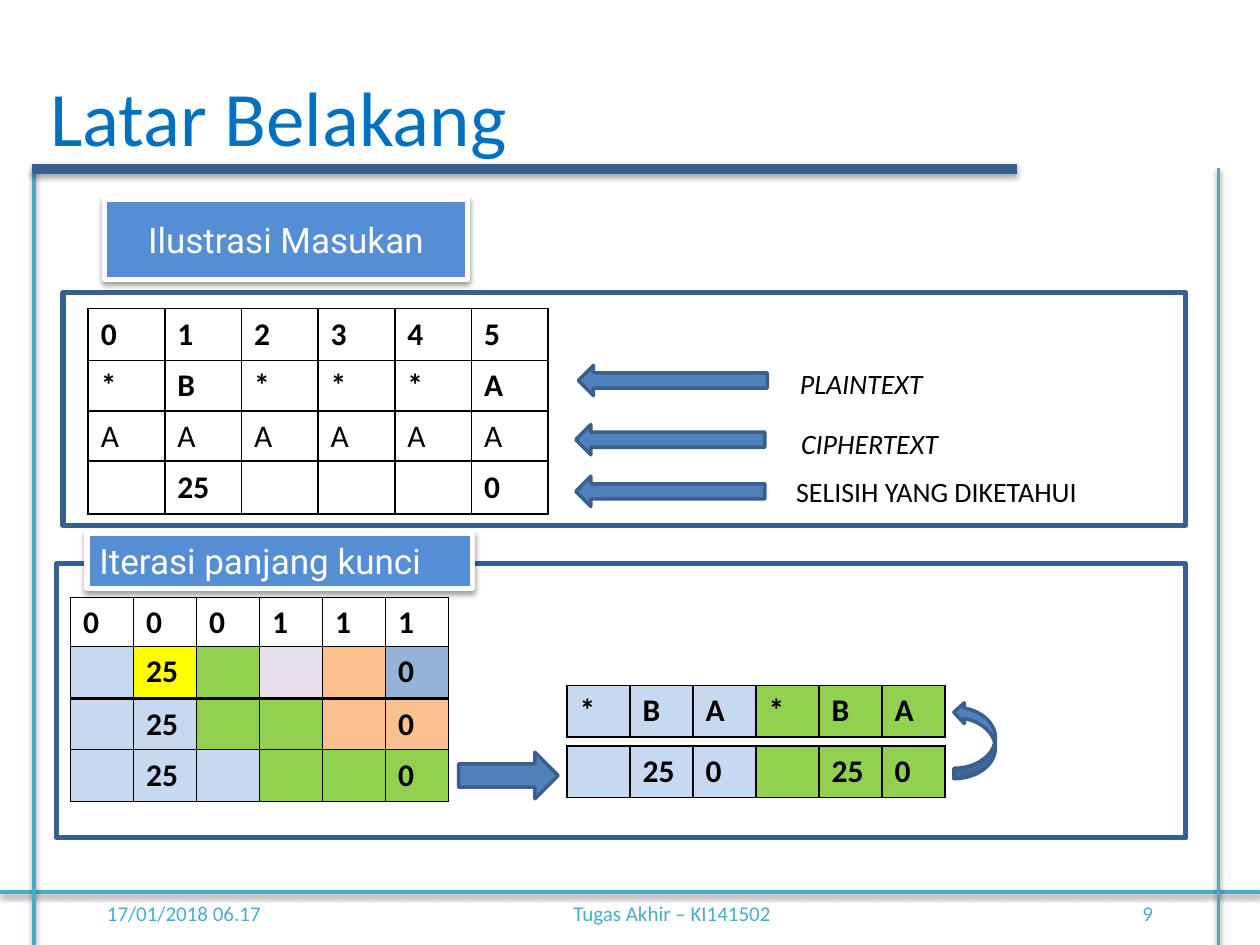
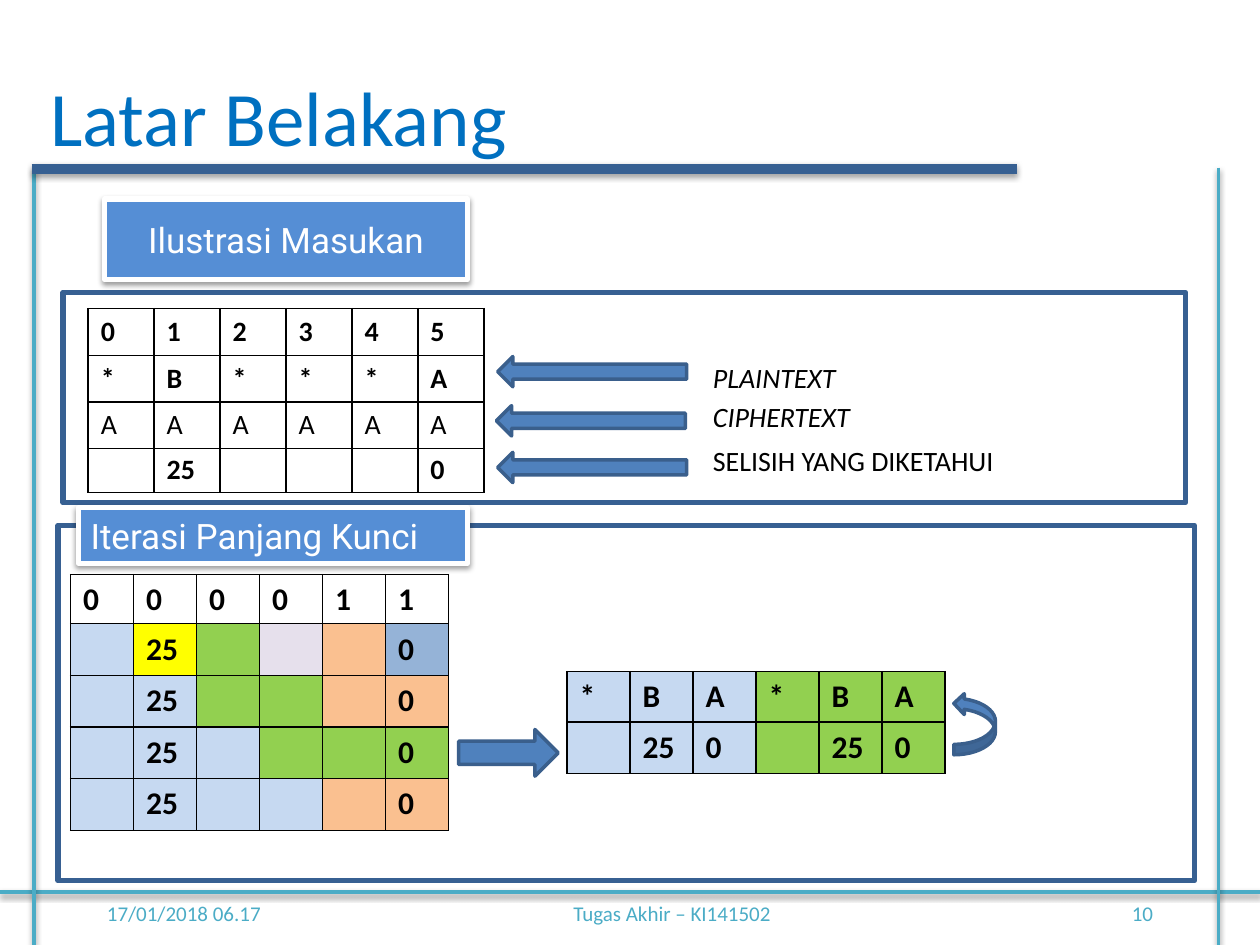
from pptx import Presentation
from pptx import util as u
from pptx.dml.color import RGBColor
from pptx.enum import shapes, text
from pptx.oxml import parse_xml
from pptx.oxml.ns import nsdecls

color = RGBColor.from_string
TEAL, NAVY, BLUE, HEADING = "4BACC6", "376092", "4F81BD", "558ED5"
TITLE, EDGE, WHITE, BLACK = "0070C0", "3A5F8C", "FFFFFF", "000000"
CELL_FILLS = {"B": "C6D9F1", "G": "92D050", "Y": "FFFF00",
              "P": "E6E0EC", "O": "FAC090", "S": "95B3D7"}
TITLE_TEXT = "Latar Belakang"
LEFT, CENTER, RIGHT = text.PP_ALIGN.LEFT, text.PP_ALIGN.CENTER, text.PP_ALIGN.RIGHT
TOP, MIDDLE = text.MSO_ANCHOR.TOP, text.MSO_ANCHOR.MIDDLE
KIND = shapes.MSO_SHAPE

# Table rows: cells separated by "|", with one fill letter per cell
INDEX_ROW = "0|1|2|3|4|5"
PLAIN_ROW = "*|B|*|*|*|A"
CIPHER_ROW = "A|A|A|A|A|A"
KNOWN_ROW = "|25||||0"
ITERATION_FILLS = ["", "BYGPOS", "BBGGOO", "BBBGGG", "BBBBOO"]

SLIDES = [
    dict(number="9", input_frame=(0.5, 2.32, 8.91, 1.85),
         input_width=3.65, input_size=18, input_tops=(2.45, 2.86, 3.67), input_row=0.41,
         arrows=[(4.59, 2.9), (4.57, 3.37), (4.57, 3.78)],
         labels=[(6.25, 2.86), (6.26, 3.34), (6.22, 3.72)],
         key_frame=(0.45, 4.47, 8.96, 2.18),
         key_heading="Iterasi panjang kunci", key_box=(0.69, 4.23, 3.06, 0.44),
         key_header="0|0|0|1|1|1", key_tops=(4.74, 5.13, 5.55, 5.95),
         right_arrow_top=5.97, pair_tops=(5.44, 5.92), curve=(5.57, 0.61)),
    dict(number="10", input_frame=(0.5, 2.32, 8.91, 1.67),
         input_width=3.14, input_size=16, input_tops=(2.45, 2.82, 3.54), input_row=0.37,
         arrows=[(3.95, 2.83), (3.94, 3.22), (3.95, 3.59)],
         labels=[(5.56, 2.81), (5.56, 3.12), (5.56, 3.47)],
         key_frame=(0.46, 4.17, 9.02, 2.82),
         key_heading="Iterasi Panjang Kunci", key_box=(0.62, 4.03, 3.09, 0.44),
         key_header="0|0|0|0|1|1", key_tops=(4.56, 4.95, 5.36, 5.77, 6.18),
         right_arrow_top=5.79, pair_tops=(5.33, 5.73), curve=(5.5, 0.49)),
]


def add_shadow(shape, opacity):
    """Give a shape or connector a soft shadow straight below it."""
    shape.element.spPr.append(parse_xml(
        f'<a:effectLst {nsdecls("a")}><a:outerShdw blurRad="40000" dist="20000" '
        f'dir="5400000" rotWithShape="0"><a:srgbClr val="{BLACK}">'
        f'<a:alpha val="{opacity * 1000}"/></a:srgbClr></a:outerShdw></a:effectLst>'))


def add_table(slide, left, top, width, row_height, rows, fills="", size=18, sides="LRTB"):
    """Add a grid of equal cells, with black borders on the given sides."""
    cells = [row.split("|") for row in rows]
    table = slide.shapes.add_table(
        len(cells), len(cells[0]), u.Inches(left), u.Inches(top),
        u.Inches(width), u.Inches(row_height * len(cells))).table
    table.first_row = table.horz_banding = False
    for r, row in enumerate(cells):
        for c, value in enumerate(row):
            cell = table.cell(r, c)
            cell.text = value
            font = cell.text_frame.paragraphs[0].font
            font.name, font.size = "Calibri", u.Pt(size)
            font.bold = rows[r] != CIPHER_ROW
            font.color.rgb = color(BLACK)
            properties = cell._tc.get_or_add_tcPr()
            for side in "LRTB":
                paint = (f'<a:solidFill><a:srgbClr val="{BLACK}"/></a:solidFill>'
                         if side in sides else "<a:noFill/>")
                properties.append(parse_xml(
                    f'<a:ln{side} {nsdecls("a")} w="12700">{paint}</a:ln{side}>'))
            if fills:
                cell.fill.solid()
                cell.fill.fore_color.rgb = color(CELL_FILLS[fills[c]])
            else:
                cell.fill.background()


presentation = Presentation()
presentation.slide_width, presentation.slide_height = u.Inches(10), u.Inches(7.5)

for content in SLIDES:
    slide = presentation.slides.add_slide(presentation.slide_layouts[6])

    # Ruled lines
    for x1, y1, x2, y2, line_color, weight, opacity in [
            (0, 7.08, 10, 7.08, TEAL, 2, 38),
            (0.27, 1.33, 0.27, 7.5, TEAL, 2, 38),
            (9.67, 1.33, 9.67, 7.5, TEAL, 2, 38),
            (0.25, 1.34, 8.07, 1.34, NAVY, 6, 35)]:
        rule = slide.shapes.add_connector(
            shapes.MSO_CONNECTOR.STRAIGHT, *map(u.Inches, (x1, y1, x2, y2)))
        rule.line.color.rgb = color(line_color)
        rule.line.width = u.Pt(weight)
        add_shadow(rule, opacity)

    # Title, footer and row labels
    texts = [
        (TITLE_TEXT, (0.3, 0.5, 3.86, 0.84), 44, TITLE, LEFT, TOP),
        ("17/01/2018 06.17", (0.75, 7, 2.08, 0.5), 12, TEAL, LEFT, MIDDLE),
        ("Tugas Akhir – KI141502", (3.75, 7, 3.17, 0.5), 12, TEAL, CENTER, MIDDLE),
        (content["number"], (7.17, 7, 2.08, 0.5), 12, TEAL, RIGHT, MIDDLE)]
    for label, place in zip(["PLAINTEXT", "CIPHERTEXT", "SELISIH YANG DIKETAHUI"],
                            content["labels"]):
        texts.append((label, (*place, 2.92, 0.37), 16, BLACK, LEFT, TOP))
    for wording, box, size, text_color, align, anchor in texts:
        frame = slide.shapes.add_textbox(*map(u.Inches, box)).text_frame
        frame.word_wrap = wording != TITLE_TEXT
        frame.vertical_anchor = anchor
        paragraph = frame.paragraphs[0]
        paragraph.text, paragraph.alignment = wording, align
        paragraph.font.name, paragraph.font.size = "Calibri", u.Pt(size)
        paragraph.font.italic = wording in ("PLAINTEXT", "CIPHERTEXT")
        paragraph.font.color.rgb = color(text_color)

    # Frames and arrows
    curve_top, curve_height = content["curve"]
    blocks = [
        (KIND.RECTANGLE, content["input_frame"], None, NAVY, 3),
        (KIND.RECTANGLE, content["key_frame"], None, NAVY, 3),
        (KIND.RIGHT_ARROW, (3.64, content["right_arrow_top"], 0.79, 0.37), BLUE, EDGE, 2),
        (KIND.CURVED_RIGHT_ARROW, (7.57, curve_top, 0.33, curve_height), BLUE, EDGE, 2)]
    for place in content["arrows"]:
        blocks.append((KIND.LEFT_ARROW, (*place, 1.5, 0.24), BLUE, EDGE, 2))
    for kind, box, fill, line_color, weight in blocks:
        shape = slide.shapes.add_shape(kind, *map(u.Inches, box))
        shape.shadow.inherit = False
        if fill:
            shape.fill.solid()
            shape.fill.fore_color.rgb = color(fill)
        else:
            shape.fill.background()
        shape.line.color.rgb = color(line_color)
        shape.line.width = u.Pt(weight)
        if kind == KIND.CURVED_RIGHT_ARROW:
            shape.rotation = 180

    # Section headings
    for heading, box, align in [
            ("Ilustrasi Masukan", (0.83, 1.58, 2.88, 0.64), CENTER),
            (content["key_heading"], content["key_box"], LEFT)]:
        shape = slide.shapes.add_shape(KIND.RECTANGLE, *map(u.Inches, box))
        shape.fill.solid()
        shape.fill.fore_color.rgb = color(HEADING)
        shape.line.color.rgb = color(WHITE)
        shape.line.width = u.Pt(3)
        add_shadow(shape, 38)
        shape.text_frame.vertical_anchor = MIDDLE
        paragraph = shape.text_frame.paragraphs[0]
        paragraph.text, paragraph.alignment = heading, align
        paragraph.space_after = u.Pt(3)
        paragraph.font.name, paragraph.font.size = "Roboto", u.Pt(20)
        paragraph.font.color.rgb = color(WHITE)

    # Input tables
    for top, rows, sides in zip(content["input_tops"],
                                [[INDEX_ROW], [PLAIN_ROW, CIPHER_ROW], [KNOWN_ROW]],
                                ["LRT", "LRTB", "LRB"]):
        row_height = 0.4 if len(rows) == 2 and content["input_size"] == 18 else content["input_row"]
        add_table(slide, 0.7, top, content["input_width"], row_height, rows,
                  size=content["input_size"], sides=sides)

    # Key length iterations
    for top, fills in zip(content["key_tops"], ITERATION_FILLS):
        row = KNOWN_ROW if fills else content["key_header"]
        add_table(slide, 0.56, top, 3, 0.41, [row], fills, sides="LRTB" if fills else "LRT")

    # Resulting pair of rows
    for top, row in zip(content["pair_tops"], ["*|B|A|*|B|A", "|25|0||25|0"]):
        add_table(slide, 4.5, top, 3, 0.41, [row], "BBBGGG")

presentation.save("out.pptx")
